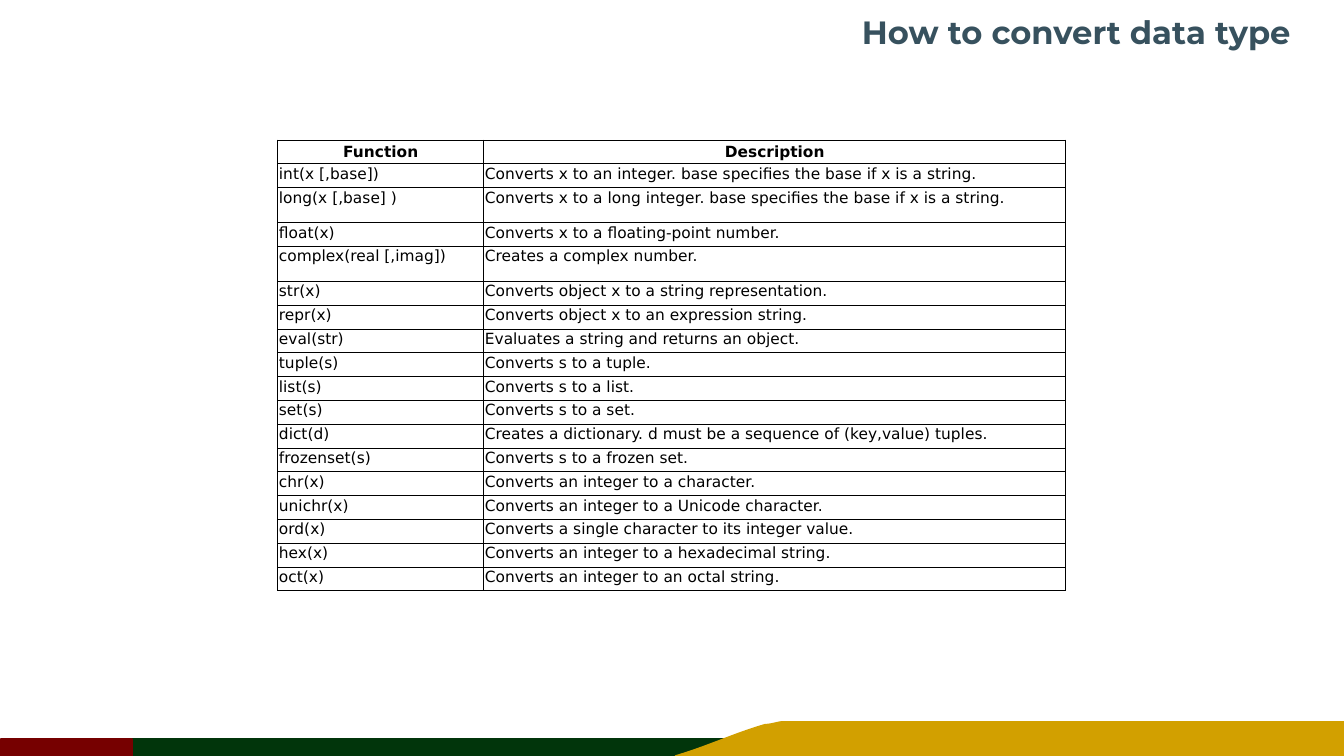
"""Build the slide that lists Python's data type conversion functions."""
from dataclasses import dataclass

from lxml import etree
from pptx import Presentation
from pptx import util as u
from pptx.dml.color import RGBColor
from pptx.enum import shapes, text
from pptx.oxml import ns


@dataclass(frozen=True)
class Theme:
    green: str = "01350B"
    gold: str = "D2A000"
    red: str = "760000"
    slate: str = "37515E"
    black: str = "000000"
    title_font: str = "Montserrat"
    table_font: str = "DejaVu Sans"
    title_size: int = 23
    table_size: int = 11
    border: float = 0.75


THEME = Theme()
WIDTH, HEIGHT = 33.87, 19.05
COLUMN_WIDTHS = 5.19, 14.67
ROW_HEIGHT, TALL_ROW_HEIGHT = 0.6, 0.88
TALL_FUNCTIONS = "long(x [,base] )", "complex(real [,imag])"

CONVERSIONS = [
    ("Function", "Description"),
    ("int(x [,base])", "Converts x to an integer. base specifies the base if x is a string."),
    ("long(x [,base] )", "Converts x to a long integer. base specifies the base if x is a string."),
    ("float(x)", "Converts x to a floating-point number."),
    ("complex(real [,imag])", "Creates a complex number."),
    ("str(x)", "Converts object x to a string representation."),
    ("repr(x)", "Converts object x to an expression string."),
    ("eval(str)", "Evaluates a string and returns an object."),
    ("tuple(s)", "Converts s to a tuple."),
    ("list(s)", "Converts s to a list."),
    ("set(s)", "Converts s to a set."),
    ("dict(d)", "Creates a dictionary. d must be a sequence of (key,value) tuples."),
    ("frozenset(s)", "Converts s to a frozen set."),
    ("chr(x)", "Converts an integer to a character."),
    ("unichr(x)", "Converts an integer to a Unicode character."),
    ("ord(x)", "Converts a single character to its integer value."),
    ("hex(x)", "Converts an integer to a hexadecimal string."),
    ("oct(x)", "Converts an integer to an octal string."),
]

WAVE_CURVES = [
    ((17.02, 19.05), (17.81, 18.82), (18.49, 18.49), (19.28, 18.26)),
    ((19.28, 18.26), (19.41, 18.26), (19.56, 18.21), (19.69, 18.19)),
]


def write(frame, words, *, font, size, color, align, bold=False, spacing=None):
    """Put one formatted paragraph into a text frame."""
    paragraph = frame.paragraphs[0]
    paragraph.alignment = align
    if spacing:
        paragraph.line_spacing = spacing
    run = paragraph.add_run()
    run.text = words
    run.font.name = font
    run.font.size = u.Pt(size)
    run.font.bold = bold
    run.font.color.rgb = RGBColor.from_string(color)


def paint(shape, color):
    """Give a shape one colour for its fill and its outline."""
    shape.shadow.inherit = False
    shape.fill.solid()
    shape.fill.fore_color.rgb = RGBColor.from_string(color)
    shape.line.color.rgb = RGBColor.from_string(color)
    shape.line.width = u.Pt(1)


def add_band(slide, left, width, color):
    """Add a strip along the bottom edge."""
    top = 18.62
    band = slide.shapes.add_shape(
        shapes.MSO_SHAPE.RECTANGLE, u.Cm(left), u.Cm(top), u.Cm(width), u.Cm(HEIGHT - top))
    paint(band, color)


def curve_points(curve, steps=16):
    """Return points along a cubic curve, without its start."""
    points = []
    for step in range(1, steps + 1):
        t = step / steps
        weights = (1 - t) ** 3, 3 * t * (1 - t) ** 2, 3 * t * t * (1 - t), t ** 3
        points.append(tuple(sum(w * p[axis] for w, p in zip(weights, curve)) for axis in (0, 1)))
    return points


def add_wave(slide):
    """Add the gold wave in the bottom right corner."""
    start = WAVE_CURVES[0][0]
    outline = [point for curve in WAVE_CURVES for point in curve_points(curve)]
    outline += [(WIDTH, 18.19), (WIDTH, HEIGHT)]
    builder = slide.shapes.build_freeform(u.Cm(start[0]), u.Cm(start[1]))
    builder.add_line_segments([(u.Cm(x), u.Cm(y)) for x, y in outline], close=True)
    paint(builder.convert_to_shape(), THEME.gold)


def add_title(slide, words):
    """Add the right-aligned heading."""
    title = slide.shapes.add_textbox(u.Cm(15.09), u.Cm(0.23), u.Cm(17.63), u.Cm(1.24))
    frame = title.text_frame
    frame.word_wrap = True
    frame.vertical_anchor = text.MSO_ANCHOR.MIDDLE
    frame.margin_left = frame.margin_right = u.Cm(0.18)
    frame.margin_top = frame.margin_bottom = u.Cm(0.1)
    write(frame, words, font=THEME.title_font, size=THEME.title_size, color=THEME.slate,
          align=text.PP_ALIGN.RIGHT, bold=True, spacing=0.9)


def add_borders(cell):
    """Draw a thin line on each side of a cell."""
    properties = cell._tc.get_or_add_tcPr()
    for side in ("a:lnL", "a:lnR", "a:lnT", "a:lnB"):
        line = etree.SubElement(properties, ns.qn(side), w=str(u.Pt(THEME.border)))
        fill = etree.SubElement(line, ns.qn("a:solidFill"))
        etree.SubElement(fill, ns.qn("a:srgbClr"), val=THEME.black)


def fill_cell(cell, words, is_header):
    """Format one table cell and write its words."""
    add_borders(cell)
    cell.fill.background()
    cell.margin_left = cell.margin_right = cell.margin_top = u.Cm(0.03)
    cell.margin_bottom = 0
    cell.vertical_anchor = text.MSO_ANCHOR.MIDDLE if is_header else text.MSO_ANCHOR.TOP
    write(cell.text_frame, words, font=THEME.table_font, size=THEME.table_size,
          color=THEME.black, bold=is_header,
          align=text.PP_ALIGN.CENTER if is_header else text.PP_ALIGN.JUSTIFY)


def add_conversion_table(slide):
    """Add the table of functions and their descriptions."""
    heights = [TALL_ROW_HEIGHT if name in TALL_FUNCTIONS else ROW_HEIGHT
               for name, _ in CONVERSIONS]
    table = slide.shapes.add_table(
        len(CONVERSIONS), len(COLUMN_WIDTHS), u.Cm(7), u.Cm(3.53),
        u.Cm(sum(COLUMN_WIDTHS)), u.Cm(sum(heights))).table
    table.first_row = table.horz_banding = False
    for column, width in zip(table.columns, COLUMN_WIDTHS):
        column.width = u.Cm(width)
    for index, (row, height, entry) in enumerate(zip(table.rows, heights, CONVERSIONS)):
        row.height = u.Cm(height)
        for cell, words in zip(row.cells, entry):
            fill_cell(cell, words, is_header=index == 0)


def main():
    """Build and save the slide."""
    deck = Presentation()
    deck.slide_width, deck.slide_height = u.Cm(WIDTH), u.Cm(HEIGHT)
    slide = deck.slides.add_slide(deck.slide_layouts[6])
    add_band(slide, 3.23, 17.07, THEME.green)
    add_wave(slide)
    add_band(slide, 0.03, 3.3, THEME.red)
    add_title(slide, "How to convert data type")
    add_conversion_table(slide)
    deck.save("out.pptx")


if __name__ == "__main__":
    main()
